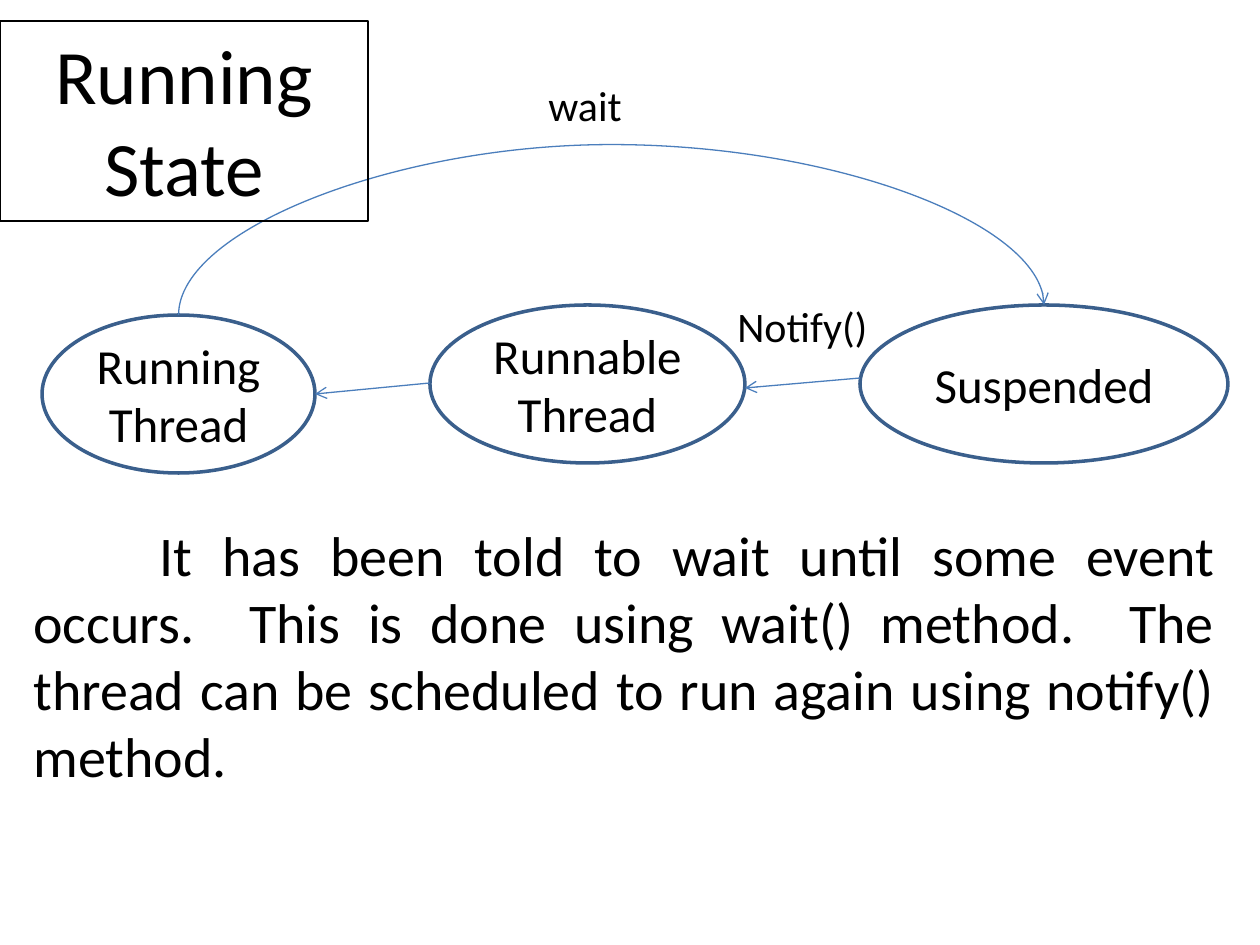
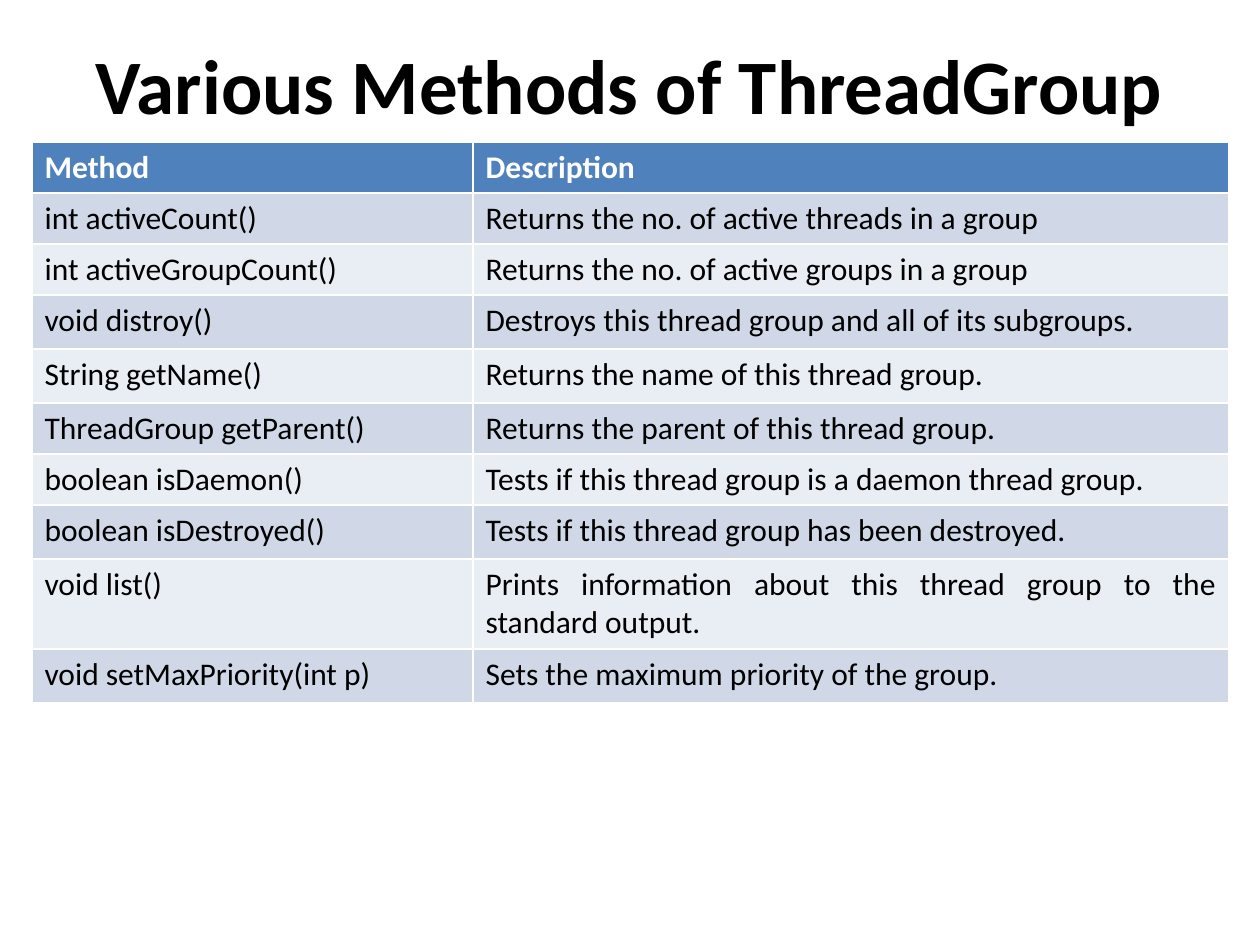
"""Build two slides on the running thread state and the ThreadGroup methods."""
from lxml.etree import SubElement
from pptx import Presentation
from pptx.dml.color import RGBColor
from pptx.enum.shapes import MSO_CONNECTOR, MSO_SHAPE
from pptx.enum.text import MSO_ANCHOR, PP_ALIGN
from pptx.oxml.ns import qn
from pptx.util import Emu, Pt

BLACK = RGBColor(0x00, 0x00, 0x00)
WHITE = RGBColor(0xFF, 0xFF, 0xFF)
OUTLINE = RGBColor(0x3A, 0x5F, 0x8C)
ARROW = RGBColor(0x4B, 0x7E, 0xBC)
HEADER = RGBColor(0x4F, 0x81, 0xBD)
BANDS = (RGBColor(0xE9, 0xED, 0xF4), RGBColor(0xD0, 0xD8, 0xE8))
FONT = "Calibri"
PX_PER_INCH = 126
TITLE_SIZE = 44

STATE_TITLE = "Running\nState"
STATES = [
    ("Running Thread", (42, 315, 273, 158)),
    ("Runnable Thread", (430, 305, 315, 158)),
    ("Suspended", (860, 305, 368, 158)),
]
STATE_ARROWS = [((430, 383), (315, 394)), ((860, 378), (745, 388))]
ARC_PEAK = 145
ARROW_LABELS = [("wait", (536, 73, 168, 63)), ("Notify()", (725, 294, 168, 63))]
EXPLANATION = (
    "It has been told to wait until some event occurs.  This is done using wait() "
    "method.  The thread can be scheduled to run again using notify() method."
)

METHODS_TITLE = "Various Methods of ThreadGroup"
METHODS = [
    ("Method", "Description"),
    ("int activeCount()", "Returns the no. of active threads in a group"),
    ("int activeGroupCount()", "Returns the no. of active groups in a group"),
    ("void distroy()", "Destroys this thread group and all of its subgroups."),
    ("String getName()", "Returns the name of this thread group."),
    ("ThreadGroup getParent()", "Returns the parent of this thread group."),
    ("boolean isDaemon()", "Tests if this thread group is a daemon thread group."),
    ("boolean isDestroyed()", "Tests if this thread group has been destroyed."),
    ("void list()", "Prints information about this thread group to the standard output."),
    ("void setMaxPriority(int p)", "Sets the maximum priority of the group."),
]
COLUMN_WIDTHS = (441, 756)
ROW_HEIGHTS = (51, 51, 51, 54, 54, 51, 51, 54, 90, 54)
JUSTIFIED_FROM = 8


def px(*lengths):
    return [Emu(round(length * 914400 / PX_PER_INCH)) for length in lengths]


def write(frame, text, size, align=PP_ALIGN.LEFT, color=BLACK, bold=False):
    frame.text = text
    frame.word_wrap = True
    for para in frame.paragraphs:
        para.alignment = align
        for span in para.runs:
            span.font.name = FONT
            span.font.size = Pt(size)
            span.font.bold = bold
            span.font.color.rgb = color


def add_text(page, text, place, size, **style):
    box = page.shapes.add_textbox(*px(*place))
    write(box.text_frame, text, size, **style)
    return box


def add_outline(page, kind, text, place, size, color, width):
    shape = page.shapes.add_shape(kind, *px(*place))
    shape.shadow.inherit = False
    shape.fill.background()
    shape.line.color.rgb = color
    shape.line.width = Pt(width)
    write(shape.text_frame, text, size, align=PP_ALIGN.CENTER)
    return shape


def add_arrow(page, kind, start, end):
    arrow = page.shapes.add_connector(kind, *px(*start, *end))
    arrow.line.color.rgb = ARROW
    arrow.line.width = Pt(0.75)
    SubElement(arrow.line._get_or_add_ln(), qn("a:tailEnd"), type="arrow")
    SubElement(arrow._element.spPr, qn("a:effectLst"))
    return arrow


def add_arc(page, source, target):
    start = (source.left + source.width // 2, source.top)
    end = (target.left + target.width // 2, target.top)
    arc = add_arrow(page, MSO_CONNECTOR.CURVE, (0, 0), (1, 1))
    arc.begin_connect(source, 0)
    arc.end_connect(target, 0)
    rise, span = start[1] - end[1], end[0] - start[0]
    arc.left = (start[0] + end[0] - rise) // 2
    arc.top = (start[1] + end[1] - span) // 2
    arc.width, arc.height = rise, span
    properties = arc._element.spPr
    frame = properties.find(qn("a:xfrm"))
    for name, value in (("rot", "5400000"), ("flipH", "1"), ("flipV", "1")):
        frame.set(name, value)
    bend = round((start[1] - px(ARC_PEAK)[0]) / rise * 100000)
    guides = properties.find(qn("a:prstGeom")).get_or_add_avLst()
    SubElement(guides, qn("a:gd"), name="adj1", fmla=f"val {bend}")


def build_state_slide(page):
    states = [
        add_outline(page, MSO_SHAPE.OVAL, name, place, 28, OUTLINE, 2)
        for name, place in STATES
    ]
    add_arc(page, states[0], states[-1])
    title = add_outline(
        page, MSO_SHAPE.RECTANGLE, STATE_TITLE, (0, 21, 368, 200), TITLE_SIZE, BLACK, 0.75
    )
    title.text_frame.vertical_anchor = MSO_ANCHOR.TOP
    for start, end in STATE_ARROWS:
        add_arrow(page, MSO_CONNECTOR.STRAIGHT, start, end)
    for label, place in ARROW_LABELS:
        add_text(page, label, place, 24)
    body = add_text(page, EXPLANATION, (21, 514, 1207, 285), 32, align=PP_ALIGN.JUSTIFY)
    first_line = body.text_frame.paragraphs[0]._p.get_or_add_pPr()
    first_line.set("indent", str(px(PX_PER_INCH)[0]))


def build_methods_slide(page):
    title = add_text(
        page, METHODS_TITLE, (0, 21, 1260, 126), TITLE_SIZE, align=PP_ALIGN.CENTER, bold=True
    )
    title.text_frame.vertical_anchor = MSO_ANCHOR.MIDDLE
    place = px(32, 142, sum(COLUMN_WIDTHS), sum(ROW_HEIGHTS))
    table = page.shapes.add_table(len(METHODS), len(COLUMN_WIDTHS), *place).table
    for column, width in zip(table.columns, px(*COLUMN_WIDTHS)):
        column.width = width
    for row, height in zip(table.rows, px(*ROW_HEIGHTS)):
        row.height = height
    for row_index, entries in enumerate(METHODS):
        is_header = row_index == 0
        for column_index, text in enumerate(entries):
            cell = table.cell(row_index, column_index)
            cell.fill.solid()
            cell.fill.fore_color.rgb = HEADER if is_header else BANDS[row_index % 2]
            justified = column_index == 1 and row_index >= JUSTIFIED_FROM
            write(
                cell.text_frame,
                text,
                18,
                align=PP_ALIGN.JUSTIFY if justified else PP_ALIGN.LEFT,
                color=WHITE if is_header else BLACK,
                bold=is_header,
            )


def main():
    deck = Presentation()
    deck.slide_width, deck.slide_height = px(1260, 945)
    for build in (build_state_slide, build_methods_slide):
        build(deck.slides.add_slide(deck.slide_layouts[6]))
    deck.save("out.pptx")


if __name__ == "__main__":
    main()
